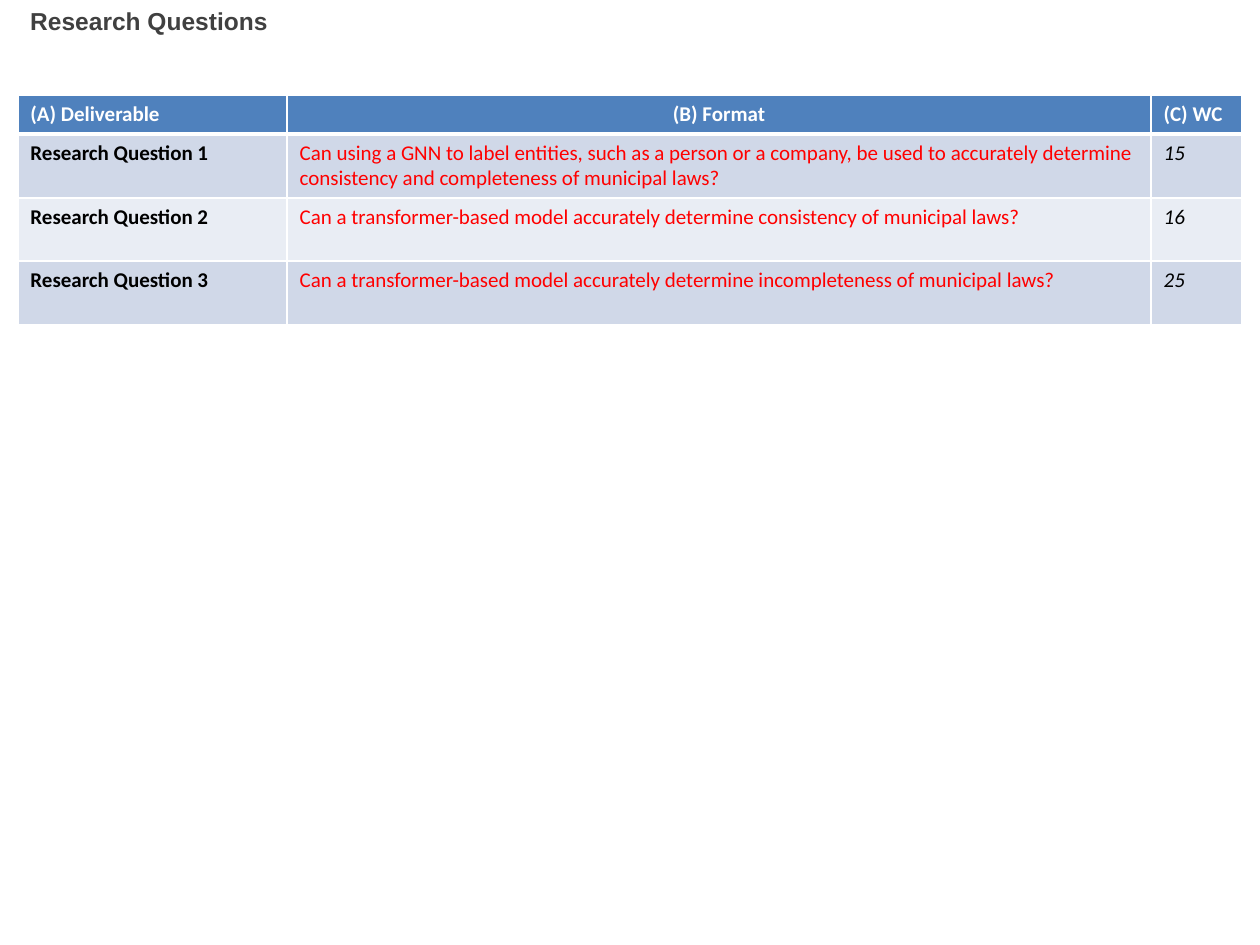
import dataclasses

import lxml.etree
import pptx
import pptx.dml.color
import pptx.enum.text
import pptx.oxml.ns
import pptx.util

Cm = pptx.util.Cm
ALIGN = pptx.enum.text.PP_ALIGN


@dataclasses.dataclass(frozen=True)
class Theme:
    title_font: str = "Arial"
    table_font: str = "Calibri"
    title_size: int = 14
    table_size: int = 12
    title: str = "404040"
    white: str = "FFFFFF"
    black: str = "000000"
    red: str = "FF0000"
    header: str = "4F81BD"
    bands: tuple = ("D0D8E8", "E9EDF4")
    thin_line: int = 1
    thick_line: int = 3


THEME = Theme()

HEADINGS = ("(A) Deliverable", "(B) Format", "(C) WC")
QUESTIONS = (
    ("Can using a GNN to label entities, such as a person or a company, be used "
     "to accurately determine consistency and completeness of municipal laws?", "15"),
    ("Can a transformer-based model accurately determine consistency of municipal laws?", "16"),
    ("Can a transformer-based model accurately determine incompleteness of municipal laws?", "25"),
)
COLUMN_SHARES = (0.22, 0.706, 0.074)
HEADER_HEIGHT = 0.76


def color(value):
    return pptx.dml.color.RGBColor.from_string(value)


def write(frame, text, *, font=THEME.table_font, size=THEME.table_size,
          ink=THEME.black, bold=False, italic=False, align=ALIGN.LEFT):
    para = frame.paragraphs[0]
    para.alignment = align
    span = para.add_run()
    span.text = text
    span.font.name = font
    span.font.size = pptx.util.Pt(size)
    span.font.bold = bold
    span.font.italic = italic
    span.font.color.rgb = color(ink)


def add_borders(cell, **widths):
    """Draw white cell borders; widths in points for the sides L, R, T and B."""
    properties = cell._tc.get_or_add_tcPr()
    qn = pptx.oxml.ns.qn
    for side in "LRTB":
        width = pptx.util.Pt(widths.get(side, THEME.thin_line))
        line = lxml.etree.SubElement(properties, qn(f"a:ln{side}"), w=str(width))
        fill = lxml.etree.SubElement(line, qn("a:solidFill"))
        lxml.etree.SubElement(fill, qn("a:srgbClr"), val=THEME.white)


def fill_cell(cell, text, fill, borders, **style):
    add_borders(cell, **borders)
    cell.fill.solid()
    cell.fill.fore_color.rgb = color(fill)
    write(cell.text_frame, text, **style)


def add_title(page, left, top, width, height):
    box = page.shapes.add_textbox(Cm(left), Cm(top), Cm(width), Cm(height))
    box.text_frame.word_wrap = True
    write(box.text_frame, "Research Questions", font=THEME.title_font,
          size=THEME.title_size, ink=THEME.title, bold=True)


def add_question_table(page, left, top, width, height):
    table = page.shapes.add_table(len(QUESTIONS) + 1, len(HEADINGS), Cm(left),
                                  Cm(top), Cm(width), Cm(height)).table
    for column, share in zip(table.columns, COLUMN_SHARES):
        column.width = Cm(width * share)
    for row in table.rows:
        row.height = Cm((height - HEADER_HEIGHT) / len(QUESTIONS))
    table.rows[0].height = Cm(HEADER_HEIGHT)

    for index, heading in enumerate(HEADINGS):
        fill_cell(table.cell(0, index), heading, THEME.header, {"B": THEME.thick_line},
                  ink=THEME.white, bold=True,
                  align=ALIGN.CENTER if index == 1 else ALIGN.LEFT)

    styles = ({"bold": True}, {"ink": THEME.red}, {"italic": True})
    for number, (question, word_count) in enumerate(QUESTIONS, start=1):
        band = THEME.bands[(number - 1) % 2]
        borders = {"T": THEME.thick_line} if number == 1 else {}
        texts = (f"Research Question {number}", question, word_count)
        for index, (text, style) in enumerate(zip(texts, styles)):
            fill_cell(table.cell(number, index), text, band, borders, **style)


def main():
    deck = pptx.Presentation()
    deck.slide_width, deck.slide_height = Cm(25.4), Cm(19.05)
    page = deck.slides.add_slide(deck.slide_layouts[6])
    add_question_table(page, left=0.36, top=1.93, width=24.67, height=4.59)
    add_title(page, left=0.36, top=0, width=21.54, height=1.73)
    deck.save("out.pptx")


if __name__ == "__main__":
    main()
